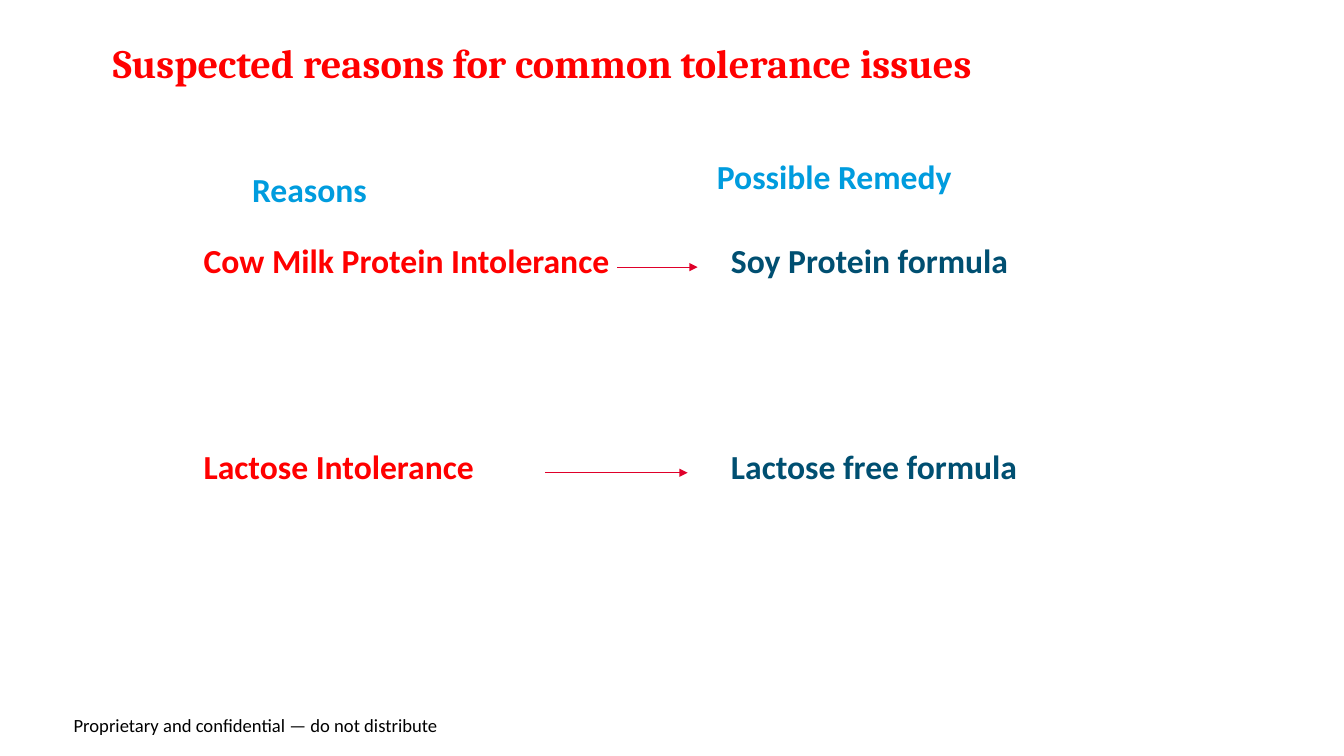
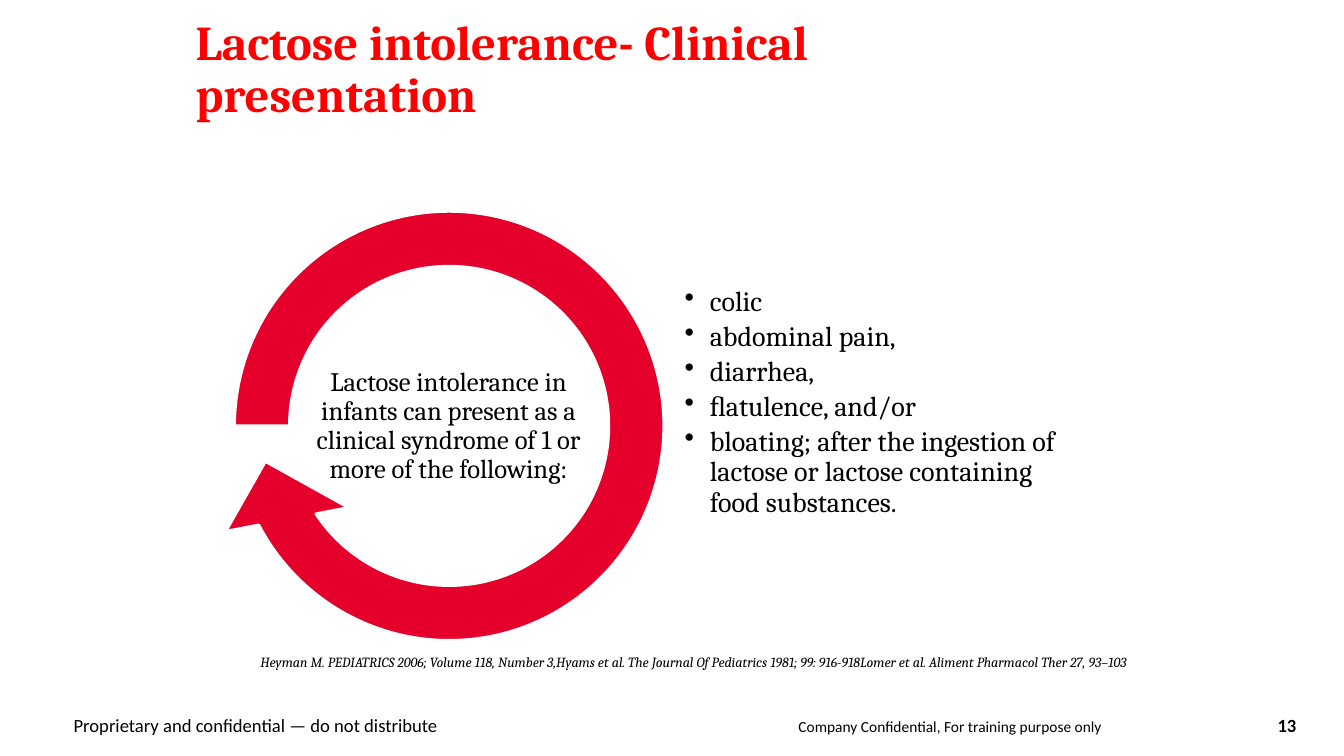
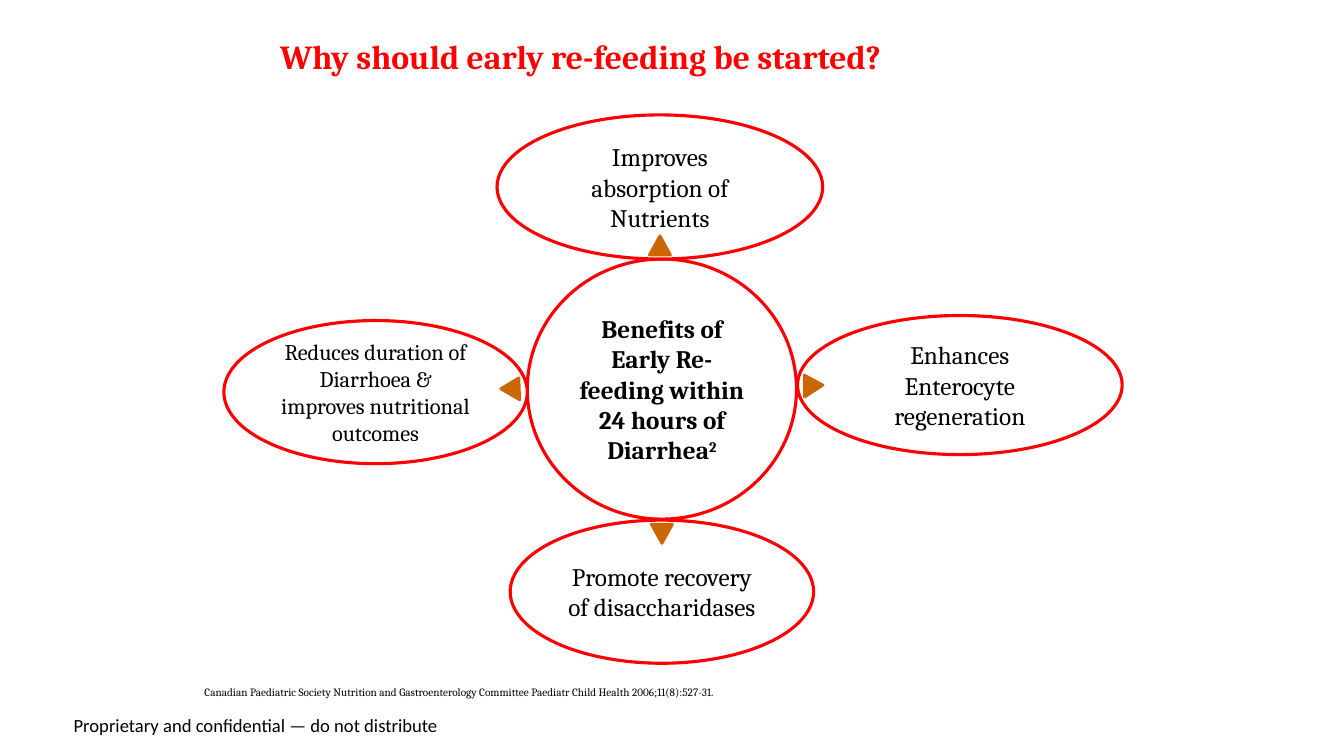
"""Build three slides on feeding tolerance in infants."""
from lxml.etree import SubElement
from pptx import Presentation
from pptx.dml.color import RGBColor
from pptx.enum.shapes import MSO_CONNECTOR as Line, MSO_SHAPE as Shape
from pptx.enum.text import MSO_ANCHOR as Anchor, PP_ALIGN as Align
from pptx.oxml.ns import qn
from pptx.util import Pt

PX = 9144
RED, SKY, NAVY, BLACK, WHITE = "FF0000", "009CDE", "004F71", "000000", "FFFFFF"
ROSE, CRIMSON, AMBER = "DF002A", "E4002B", "CC6600"
SERIF, SANS = "Cambria", "Calibri"
FLAT, FOOT, TIGHT, LOOSE = (0, 0, 10, 5), (0, 5, 0, 5), (1, 1, 1, 1), (10, 5, 10, 5)

FOOTER = "Proprietary and confidential — do not distribute"
HEADS = [("Reasons", 250, 168), ("Possible Remedy", 711, 155)]
ROWS = [
    ("Cow Milk Protein Intolerance", "Soy Protein formula", 612, 692),
    ("Lactose Intolerance", "Lactose free formula", 541, 682),
]
ROW_TOP, ROW_GAP, ROW_MID = 238, 204, 27
SIGNS = [
    "colic",
    "abdominal pain,",
    "diarrhea,",
    "ﬂatulence, and/or",
    "bloating; after the ingestion of lactose or lactose containing food substances.",
]
INTRO = "Lactose intolerance in infants can present as a clinical syndrome of 1 or more of the following:"
SOURCE = (
    "Heyman M. PEDIATRICS 2006; Volume 118, Number 3,Hyams et al. The Journal Of Pediatrics 1981; "
    "99: 916-918Lomer et al. Aliment Pharmacol Ther 27, 93–103"
)
CREDIT = (
    "Canadian Paediatric Society Nutrition and Gastroenterology Committee "
    "Paediatr Child Health 2006;11(8):527-31."
)
HUB = "Benefits of Early Re-feeding within 24 hours of Diarrhea"
GAINS = [
    ("Improves absorption of Nutrients", (493, 114, 323, 143), 18),
    ("Enhances Enterocyte regeneration", (791, 313, 322, 138), 18),
    ("Reduces duration of Diarrhoea & improves nutritional outcomes", (222, 318, 301, 142), 16),
    ("Promote recovery of disaccharidases", (506, 516, 301, 142), 18),
]
TIPS = [(646, 520, 0), (644, 234, 180), (500, 379, 329), (792, 376, 28)]


def emu(box):
    return [n * PX for n in box]


def hue(code):
    return RGBColor.from_string(code)


def add_run(para, text, size, color=BLACK, font=SERIF, bold=False, italic=False):
    run = para.add_run()
    run.text = text
    face = run.font
    face.size, face.name, face.bold, face.italic = Pt(size), font, bold, italic
    face.color.rgb = hue(color)
    return run


def set_frame(frame, pad, anchor, wrap=True):
    frame.word_wrap, frame.vertical_anchor = wrap, anchor
    frame.margin_left, frame.margin_top, frame.margin_right, frame.margin_bottom = emu(pad)


def add_text(slide, box, lines, size, pad=FLAT, anchor=Anchor.TOP, align=Align.LEFT,
             lead=None, after=0, bullet=False, wrap=True, **look):
    frame = slide.shapes.add_textbox(*emu(box)).text_frame
    set_frame(frame, pad, anchor, wrap)
    for i, line in enumerate(lines):
        para = frame.add_paragraph() if i else frame.paragraphs[0]
        para.alignment, para.line_spacing, para.space_after = align, lead, Pt(after)
        if bullet:
            prop = para._p.get_or_add_pPr()
            prop.set("marL", str(25 * PX))
            prop.set("indent", str(-25 * PX))
            SubElement(prop, qn("a:buChar")).set("char", "•")
        add_run(para, line, size, **look)


def add_title(slide, box, text, size, **more):
    add_text(slide, box, [text], size, color=RED, bold=True, **more)


def add_form(slide, kind, box, fill, edge, width):
    form = slide.shapes.add_shape(kind, *emu(box))
    form.shadow.inherit = False
    form.fill.solid()
    form.fill.fore_color.rgb = hue(fill)
    form.line.color.rgb, form.line.width = hue(edge), Pt(width)
    return form


def add_oval(slide, box, text, size, bold=False):
    oval = add_form(slide, Shape.OVAL, box, WHITE, RED, 2.25)
    set_frame(oval.text_frame, LOOSE, Anchor.MIDDLE)
    para = oval.text_frame.paragraphs[0]
    para.alignment = Align.CENTER
    add_run(para, text, size, bold=bold)
    return para


def add_arrow(slide, left, right, y):
    arrow = slide.shapes.add_connector(Line.STRAIGHT, *emu((left, y, right, y)))
    arrow.line.color.rgb, arrow.line.width = hue(ROSE), Pt(0.75)
    SubElement(arrow.line._get_or_add_ln(), qn("a:tailEnd")).set("type", "triangle")
    SubElement(arrow._element.spPr, qn("a:effectLst"))


def add_slide(deck):
    slide = deck.slides.add_slide(deck.slide_layouts[6])
    add_text(slide, (73, 695, 375, 40), [FOOTER], 13.3, FOOT, Anchor.BOTTOM, font=SANS)
    return slide


def add_reasons(deck):
    slide = add_slide(deck)
    add_title(slide, (112, 43, 1074, 125), "Suspected reasons for common tolerance issues", 28.8, lead=0.9)
    for text, x, y in HEADS:
        add_text(slide, (x, y, 442, 70), [text], 24, color=SKY, font=SANS, bold=True)
    for i, (cause, cure, left, right) in enumerate(ROWS):
        y = ROW_TOP + i * ROW_GAP
        for text, x, color in ((cause, 202, RED), (cure, 725, NAVY)):
            add_text(slide, (x, y, 442, 50), [text], 24, color=color, font=SANS, bold=True)
        add_arrow(slide, left, right, y + ROW_MID)


def add_signs(deck):
    slide = add_slide(deck)
    add_text(slide, (440, 695, 653, 40), ["Company Confidential, For training purpose only"], 11,
             FOOT, Anchor.BOTTOM, Align.RIGHT, font=SANS)
    add_text(slide, (1255, 695, 43, 40), ["13"], 13.3, FOOT, Anchor.BOTTOM, Align.CENTER,
             font=SANS, bold=True)
    add_title(slide, (194, 18, 900, 125), "Lactose intolerance- Clinical presentation", 34.7, lead=0.9)
    ring = add_form(slide, Shape.CIRCULAR_ARROW, (198, 175, 495, 495), CRIMSON, WHITE, 2)
    for i, value in enumerate((0.11, 11.42, 90, 108, 0.125)):
        ring.adjustments[i] = value
    add_text(slide, (678, 233, 388, 333), SIGNS, 20, TIGHT, Anchor.MIDDLE, lead=0.9, after=3.5, bullet=True)
    add_text(slide, (307, 354, 276, 138), [INTRO], 19, TIGHT, Anchor.MIDDLE, Align.CENTER, lead=0.9)
    add_text(slide, (167, 643, 960, 44), [SOURCE], 10, LOOSE, align=Align.RIGHT, italic=True)


def add_gains(deck):
    slide = add_slide(deck)
    add_title(slide, (268, 31, 709, 50), "Why should early re-feeding be started?", 24, pad=LOOSE, wrap=False)
    add_text(slide, (193, 675, 623, 24), [CREDIT], 8, LOOSE)
    para = add_oval(slide, (523, 257, 267, 258), HUB, 18, True)
    note = add_run(para, "2", 18, bold=True)
    note._r.get_or_add_rPr().set("baseline", "30000")
    for text, box, size in GAINS:
        add_oval(slide, box, text, size)
    for x, y, turn in TIPS:
        tip = add_form(slide, Shape.FLOWCHART_MERGE, (x, y, 21, 19), AMBER, AMBER, 2)
        tip.rotation = turn


def main():
    deck = Presentation()
    deck.slide_width, deck.slide_height = emu((1333, 750))
    for build in (add_reasons, add_signs, add_gains):
        build(deck)
    deck.save("out.pptx")


if __name__ == "__main__":
    main()
